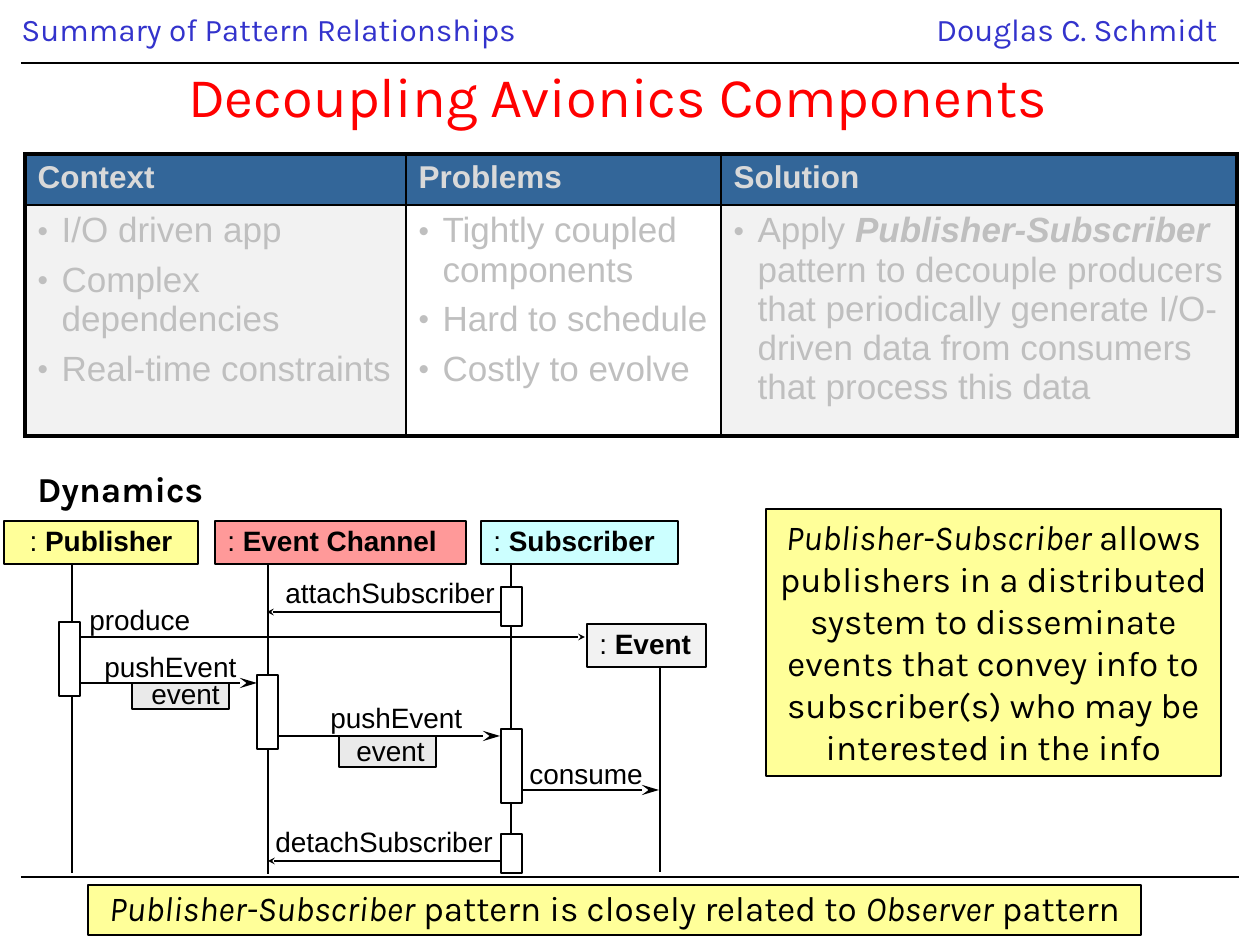
"""Build the Decoupling Avionics Components slide with its table and sequence diagram."""
import lxml.etree
import pptx
import pptx.dml.color
import pptx.enum.shapes
import pptx.enum.text
import pptx.oxml
import pptx.oxml.ns
import pptx.util

SCALE = 914400 / 126
COLORS = {
    "black": "000000", "white": "FFFFFF", "blue": "3333CC", "red": "FF0000",
    "yellow": "FFFF99", "pink": "FF9999", "cyan": "CCFFFF", "pale": "F2F2F2",
    "message": "EAEAEA", "header": "336699", "header text": "D9D9D9", "faded": "BFBFBF",
}
COLORS = {name: pptx.dml.color.RGBColor.from_string(value) for name, value in COLORS.items()}
ALIGN = pptx.enum.text.PP_ALIGN
qn = pptx.oxml.ns.qn


def box(left, top, width, height, fill=None, line=0.75):
    area = [round(value * SCALE) for value in (left, top, width, height)]
    if fill is None:
        shape = slide.shapes.add_textbox(*area)
    else:
        shape = slide.shapes.add_shape(pptx.enum.shapes.MSO_SHAPE.RECTANGLE, *area)
        shape.shadow.inherit = False
        shape.fill.solid()
        shape.fill.fore_color.rgb = COLORS[fill]
        shape.line.color.rgb = COLORS["black"]
        shape.line.width = pptx.util.Pt(line)
    shape.text_frame.word_wrap = True
    shape.text_frame.vertical_anchor = pptx.enum.text.MSO_ANCHOR.TOP
    return shape


def write(paragraph, runs, size, font="Arial", color="black", align=ALIGN.LEFT, spacing=0.9):
    paragraph.alignment = align
    paragraph.line_spacing = spacing
    paragraph.font.size = pptx.util.Pt(size)
    paragraph.font.name = font
    paragraph.font.color.rgb = COLORS[color]
    for text, style in runs:
        run = paragraph.add_run()
        run.text = text
        if "b" in style:
            run.font.bold = True
        if "i" in style:
            run.font.italic = True


presentation = pptx.Presentation()
presentation.slide_width = round(1260 * SCALE)
presentation.slide_height = round(945 * SCALE)
slide = presentation.slides.add_slide(presentation.slide_layouts[5])

title = slide.shapes.title
title.left, title.top, title.width, title.height = [round(v * SCALE) for v in (-9, 32, 1254, 126)]
title.text_frame.vertical_anchor = pptx.enum.text.MSO_ANCHOR.MIDDLE
write(title.text_frame.paragraphs[0], [("Decoupling Avionics Components", "")],
      32, "Karla", "red", ALIGN.CENTER, 1)

for left, top, width, height, text, size, color, style in (
    (9, 8, 746, 47, "Summary of Pattern Relationships", 18, "blue", ""),
    (924, 8, 316, 50, "Douglas C. Schmidt", 18, "blue", ""),
    (25, 466, 198, 50, "Dynamics", 20, "black", "b"),
):
    heading = box(left, top, width, height)
    write(heading.text_frame.paragraphs[0], [(text, style)], size, "Karla", color)

columns = [
    (381, "Context", "pale",
     [[("I/O driven app", "")], [("Complex dependencies", "")], [("Real-time constraints", "")]]),
    (315, "Problems", "white",
     [[("Tightly coupled components", "")], [("Hard to schedule", "")], [("Costly to evolve", "")]]),
    (516, "Solution", "pale",
     [[("Apply ", ""), ("Publisher-Subscriber", "bi"),
       (" pattern to decouple producers that periodically generate I/O-driven data "
        "from consumers that process this data", "")]]),
]
frame = slide.shapes.add_table(2, 3, *[round(v * SCALE) for v in (25, 154, 1212, 282)])
table = frame.table
table.horz_banding = False
for row, height in zip(table.rows, (51, 231)):
    row.height = round(height * SCALE)
for index, (width, heading, fill, bullets) in enumerate(columns):
    table.columns[index].width = round(width * SCALE)
    for level in range(2):
        cell = table.cell(level, index)
        properties = cell._tc.get_or_add_tcPr()
        outer_sides = {"lnL": index == 0, "lnR": index == 2, "lnT": level == 0, "lnB": level == 1}
        for side, outer in outer_sides.items():
            border = lxml.etree.SubElement(properties, qn("a:" + side), w="28575" if outer else "12700")
            solid = lxml.etree.SubElement(border, qn("a:solidFill"))
            lxml.etree.SubElement(solid, qn("a:srgbClr"), val=str(COLORS["black"]))
        cell.fill.solid()
        cell.fill.fore_color.rgb = COLORS[fill if level else "header"]
    write(table.cell(0, index).text_frame.paragraphs[0], [(heading, "b")], 18,
          color="header text", spacing=1)
    text_frame = table.cell(1, index).text_frame
    for number, runs in enumerate(bullets):
        paragraph = text_frame.add_paragraph() if number else text_frame.paragraphs[0]
        properties = paragraph._p.get_or_add_pPr()
        properties.set("marL", str(round(24 * SCALE)))
        properties.set("indent", str(-round(24 * SCALE)))
        bullet_color = lxml.etree.SubElement(properties, qn("a:buClr"))
        lxml.etree.SubElement(bullet_color, qn("a:srgbClr"), val=str(COLORS["faded"]))
        lxml.etree.SubElement(properties, qn("a:buSzPct"), val="85000")
        lxml.etree.SubElement(properties, qn("a:buFont"), typeface="Arial")
        lxml.etree.SubElement(properties, qn("a:buChar"), char="•")
        if number:
            paragraph.space_before = pptx.util.Pt(6)
        write(paragraph, runs, 20, color="faded", spacing=1)

for left, top in ((132, 683), (339, 736)):
    box(left, top, 97, 26 if left == 132 else 31, "message", 1)

rules = [(21, y, 1239, y, 0.75, None) for y in (63, 877)]
lifelines = [(x, top, x, bottom, 1.5, None) for x, top, bottom in
             ((72, 548, 873), (268, 549, 874), (511, 549, 874), (660, 631, 872))]
small, large = ("sm", "sm"), ("med", "lg")
messages = [(start, y, end, y, 1, head) for start, y, end, head in (
    (507, 612, 267, small), (78, 637, 585, small), (68, 683, 257, large),
    (268, 736, 500, large), (523, 790, 659, large), (510, 861, 268, small))]
for start_x, start_y, end_x, end_y, width, head in rules + lifelines + messages:
    connector = slide.shapes.add_connector(
        pptx.enum.shapes.MSO_CONNECTOR.STRAIGHT,
        *[round(v * SCALE) for v in (start_x, start_y, end_x, end_y)])
    connector.line.color.rgb = COLORS["black"]
    connector.line.width = pptx.util.Pt(width)
    if head:
        lxml.etree.SubElement(connector.line._get_or_add_ln(), qn("a:tailEnd"),
                              type="stealth", w=head[0], len=head[1])
    lxml.etree.SubElement(connector._element.spPr, qn("a:effectLst"))

for left, top, width, text in (
    (273, 573, 237, "attachSubscriber"), (77, 600, 161, "produce"),
    (92, 647, 161, "pushEvent"), (139, 674, 144, "event"),
    (344, 731, 144, "event"), (318, 698, 161, "pushEvent"),
    (517, 754, 156, "consume"), (263, 822, 252, "detachSubscriber"),
):
    label = box(left, top, width, 43)
    write(label.text_frame.paragraphs[0], [(text, "")], 16)

for left, top, width, name, fill, align in (
    (4, 521, 194, "Publisher", "yellow", ALIGN.CENTER),
    (215, 521, 251, "Event Channel", "pink", ALIGN.LEFT),
    (481, 521, 197, "Subscriber", "cyan", ALIGN.LEFT),
    (587, 624, 119, "Event", "pale", ALIGN.LEFT),
):
    participant = box(left, top, width, 43, fill)
    write(participant.text_frame.paragraphs[0], [(": ", ""), (name, "b")], 16, align=align)

for left, top, height in ((59, 622, 74), (257, 675, 74), (501, 729, 74), (501, 587, 39), (501, 834, 39)):
    box(left, top, 21, height, "white", 1.5)

for left, top, width, height, spacing, runs in (
    (88, 885, 1053, 50, 0.9,
     [("Publisher-Subscriber", "i"), (" pattern is closely related to ", ""),
      ("Observer", "i"), (" pattern", "")]),
    (766, 509, 455, 267, 1,
     [("Publisher-Subscriber ", "i"),
      ("allows publishers in a distributed system to disseminate events that convey info to "
       "subscriber(s) who may be interested in the info", "")]),
):
    note = box(left, top, width, height, "yellow", 1)
    write(note.text_frame.paragraphs[0], runs, 20, "Karla", align=ALIGN.CENTER, spacing=spacing)

presentation.save("out.pptx")
